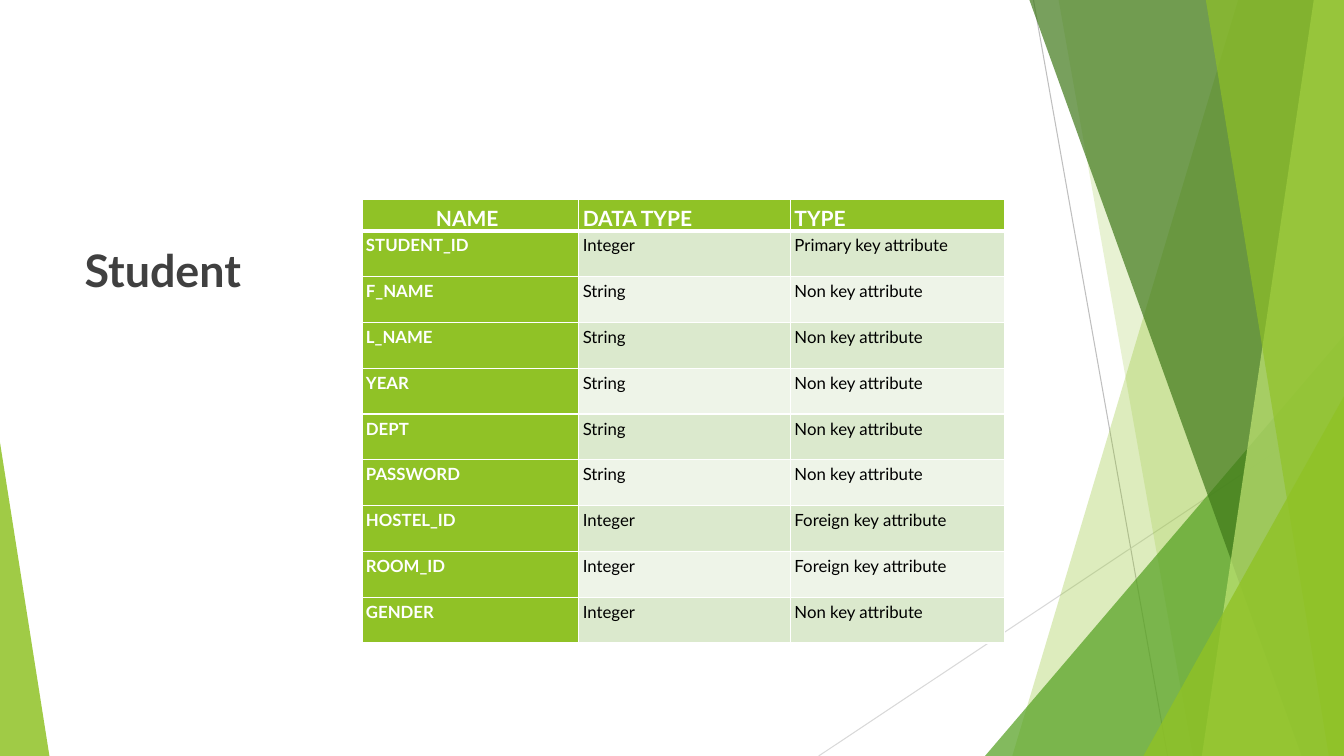
from lxml.etree import SubElement
from pptx import Presentation
from pptx.dml.color import RGBColor
from pptx.enum.shapes import MSO_CONNECTOR, MSO_SHAPE
from pptx.enum.text import MSO_ANCHOR, PP_ALIGN
from pptx.oxml.ns import qn
from pptx.util import Inches, Pt

WIDTH, HEIGHT = 13.33, 7.5
GREEN, WHITE = "90C226", "FFFFFF"
BANDS = ["DBE9CD", "EEF4E8"]

THIN_LINES = [((10.25, 0), (11.58, HEIGHT), "BFBFBF"),
              ((WIDTH, 4.03), (8.12, HEIGHT), "D9D9D9")]
# Each blade runs from a top x to a bottom x, and on to the right edge.
BACK_BLADES = [(12.28, 10.04, GREEN, 30), (10.5, 11.83, GREEN, 20)]
FRONT_BLADES = [(10.21, 12.91, "3F7819", 70), (13.03, 11.92, "C0E474", 70),
                (11.96, 13.18, GREEN, 65)]

COLUMN_WIDTHS = [2.15, 2.1, 2.12]
HEADER_HEIGHT, TABLE_HEIGHT = 0.31, 4.4
HEADINGS = ["NAME", "DATA TYPE", "TYPE"]
ATTRIBUTES = [
    ("STUDENT_ID", "Integer", "Primary"),
    ("F_NAME", "String", "Non"),
    ("L_NAME", "String", "Non"),
    ("YEAR", "String", "Non"),
    ("DEPT", "String", "Non"),
    ("PASSWORD", "String", "Non"),
    ("HOSTEL_ID", "Integer", "Foreign"),
    ("ROOM_ID", "Integer", "Foreign"),
    ("GENDER", "Integer", "Non"),
]


def rgb(color):
    return RGBColor.from_string(color)


def apply(target, values):
    for name, value in values.items():
        setattr(target, name, value)


class Painter:
    font = "Lato"

    def __init__(self, page):
        self.page = page

    def line(self, start, end, color):
        connector = self.page.shapes.add_connector(
            MSO_CONNECTOR.STRAIGHT, *map(Inches, start + end))
        connector.line.color.rgb = rgb(color)
        connector.line.width = Pt(0.75)
        SubElement(connector.element.spPr, qn("a:effectLst"))

    def paint(self, shape, color, opacity):
        shape.shadow.inherit = False
        shape.line.fill.background()
        shape.fill.solid()
        shape.fill.fore_color.rgb = rgb(color)
        tint = shape.element.spPr.find(".//" + qn("a:srgbClr"))
        SubElement(tint, qn("a:alpha"), val=str(opacity * 1000))

    def blade(self, top, bottom, color, opacity):
        corners = [(WIDTH, 0), (WIDTH, HEIGHT), (bottom, HEIGHT)]
        builder = self.page.shapes.build_freeform(Inches(top), 0)
        builder.add_line_segments([(Inches(x), Inches(y)) for x, y in corners])
        self.paint(builder.convert_to_shape(), color, opacity)

    def triangle(self, left, width, height, apex, color, opacity):
        """Stand a triangle on the bottom edge, its apex at 0 (left) to 1 (right)."""
        shape = self.page.shapes.add_shape(
            MSO_SHAPE.ISOSCELES_TRIANGLE,
            *map(Inches, (left, HEIGHT - height, width, height)))
        shape.adjustments[0] = apex
        self.paint(shape, color, opacity)

    def add_span(self, para, text, color, **values):
        span = para.add_run()
        span.text = text
        apply(span.font, {"name": self.font, **values})
        span.font.color.rgb = rgb(color)

    def title(self, text, *place):
        box = self.page.shapes.add_textbox(*map(Inches, place))
        box.text_frame.word_wrap = True
        para = box.text_frame.paragraphs[0]
        para.space_before = Pt(10)
        self.add_span(para, text, "404040", size=Pt(32), bold=True)

    def borders(self, cell, **widths):
        properties = cell._tc.get_or_add_tcPr()
        for side in "LRTB":
            edge = SubElement(properties, qn("a:ln" + side),
                              w=str(Pt(widths.get(side, 1))))
            fill = SubElement(edge, qn("a:solidFill"))
            SubElement(fill, qn("a:srgbClr"), val=WHITE)

    def cell(self, cell, fill, anchor=MSO_ANCHOR.TOP, **border_widths):
        """Style a cell and return its paragraph."""
        self.borders(cell, **border_widths)
        cell.fill.solid()
        cell.fill.fore_color.rgb = rgb(fill)
        apply(cell, {"margin_left": Inches(0.04), "margin_top": Inches(0.03),
                     "margin_right": Inches(0.05), "margin_bottom": 0,
                     "vertical_anchor": anchor})
        para = cell.text_frame.paragraphs[0]
        para.line_spacing = 1.07
        return para

    def table(self, left, top, headings, records):
        record_height = (TABLE_HEIGHT - HEADER_HEIGHT) / len(records)
        heights = [HEADER_HEIGHT] + [record_height] * len(records)
        frame = self.page.shapes.add_table(
            len(heights), len(headings),
            *map(Inches, (left, top, sum(COLUMN_WIDTHS), TABLE_HEIGHT)))
        table = frame.table
        apply(table, {"first_row": False, "horz_banding": False})
        for column, width in zip(table.columns, COLUMN_WIDTHS):
            column.width = Inches(width)
        for row, height in zip(table.rows, heights):
            row.height = Inches(height)

        for column, heading in enumerate(headings):
            para = self.cell(table.cell(0, column), GREEN, MSO_ANCHOR.BOTTOM, B=3)
            para.alignment = PP_ALIGN.LEFT if column else PP_ALIGN.CENTER
            style = {"size": Pt(15), "bold": True}
            self.add_span(para, heading, WHITE, underline=True, **style)
            self.add_span(para, " ", WHITE, underline=False, **style)

        for row, record in enumerate(records, 1):
            band = BANDS[(row - 1) % 2]
            for column, text in enumerate(record):
                is_name = column == 0
                para = self.cell(table.cell(row, column),
                                 GREEN if is_name else band,
                                 T=3 if row == 1 else 1)
                self.add_span(para, text, WHITE if is_name else "000000",
                              size=Pt(12), bold=is_name)


def main():
    deck = Presentation()
    apply(deck, {"slide_width": Inches(WIDTH), "slide_height": Inches(HEIGHT)})
    painter = Painter(deck.slides.add_slide(deck.slide_layouts[6]))

    for thin_line in THIN_LINES:
        painter.line(*thin_line)
    for blade in BACK_BLADES:
        painter.blade(*blade)
    painter.triangle(9.77, 3.56, 4.17, 1, "54A021", 72)
    for blade in FRONT_BLADES:
        painter.blade(*blade)
    painter.triangle(11.34, 1.99, 3.57, 1, GREEN, 80)
    painter.triangle(0, 0.49, 3.11, 0, GREEN, 85)

    painter.title("Student", 0.74, 2.36, 9.4, 4.24)
    records = [(name, kind, f"{role} key attribute")
               for name, kind, role in ATTRIBUTES]
    painter.table(3.59, 1.98, HEADINGS, records)
    deck.save("out.pptx")


if __name__ == "__main__":
    main()
